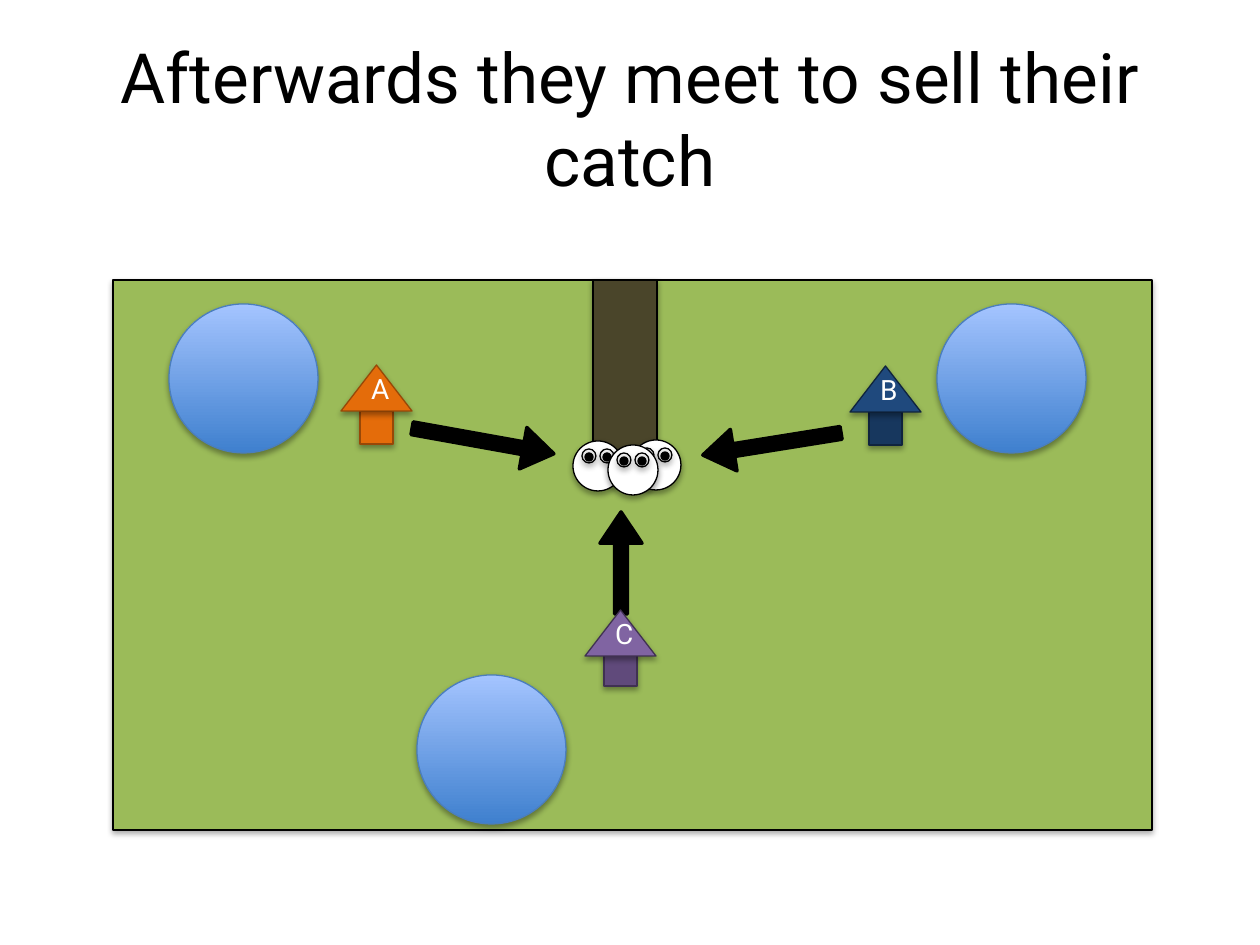
from lxml.etree import SubElement
from pptx import Presentation
from pptx.dml.color import RGBColor
from pptx.enum.shapes import MSO_SHAPE
from pptx.enum.text import MSO_ANCHOR, PP_ALIGN
from pptx.oxml.ns import qn
from pptx.util import Emu, Pt

SCALE = 914400 / 126
BLACK = RGBColor(0x00, 0x00, 0x00)
WHITE = RGBColor(0xFF, 0xFF, 0xFF)
GRASS = RGBColor(0x9B, 0xBB, 0x59)
WATER_DARK = RGBColor(0x3F, 0x80, 0xCE)
WATER_LIGHT = RGBColor(0xA4, 0xC4, 0xFF)
WATER_EDGE = RGBColor(0x4B, 0x7E, 0xBC)
ROAD = RGBColor(0x4A, 0x45, 0x2A)
ORANGE = RGBColor(0xE4, 0x6C, 0x0A)
ORANGE_EDGE = RGBColor(0x98, 0x48, 0x07)
NAVY = RGBColor(0x17, 0x37, 0x5E)
BLUE = RGBColor(0x1F, 0x49, 0x7D)
BLUE_EDGE = RGBColor(0x0F, 0x24, 0x3E)
DARK_PURPLE = RGBColor(0x60, 0x4A, 0x7B)
PURPLE = RGBColor(0x80, 0x64, 0xA2)
PURPLE_EDGE = RGBColor(0x40, 0x31, 0x52)

TITLE_FONT = {"name": "Roboto", "size": Pt(39.6)}
LABEL_FONT = {"name": "Roboto", "size": Pt(16)}


def px(value):
    return Emu(round(value * SCALE))


def add_shadow(shape):
    effects = shape._element.spPr.find(qn("a:effectLst"))
    shadow = SubElement(effects, qn("a:outerShdw"), blurRad="40000",
                        dist="23000", dir="5400000", rotWithShape="0")
    color = SubElement(shadow, qn("a:srgbClr"), val="000000")
    SubElement(color, qn("a:alpha"), val="35000")


def draw(shapes, kind, box, fill, edge=BLACK, width=0.75, shadow=True):
    shape = shapes.add_shape(kind, *map(px, box))
    shape.shadow.inherit = False
    if fill is None:
        shape.fill.background()
    else:
        shape.fill.solid()
        shape.fill.fore_color.rgb = fill
    shape.line.color.rgb = edge
    shape.line.width = Pt(width)
    if shadow:
        add_shadow(shape)
    return shape


def write(shape, text, font, color, anchor):
    frame = shape.text_frame
    for name, value in {"word_wrap": True, "vertical_anchor": anchor}.items():
        setattr(frame, name, value)
    paragraph = frame.paragraphs[0]
    paragraph.alignment = PP_ALIGN.CENTER
    run = paragraph.add_run()
    run.text = text
    for name, value in font.items():
        setattr(run.font, name, value)
    run.font.color.rgb = color


def add_title(slide, box):
    shape = slide.shapes.add_textbox(*map(px, box))
    write(shape, "Afterwards they meet to sell their catch",
          TITLE_FONT, BLACK, MSO_ANCHOR.MIDDLE)


def add_pond(slide, left, top, size=149):
    pond = draw(slide.shapes, MSO_SHAPE.OVAL, (left, top, size, size),
                WATER_DARK, WATER_EDGE)
    pond.fill.gradient()
    pond.fill.gradient_angle = 90
    for stop, color in zip(pond.fill.gradient_stops, (WATER_DARK, WATER_LIGHT)):
        stop.color.rgb = color


def add_face(slide, left, top, size=50):
    face = slide.shapes.add_group_shape().shapes
    draw(face, MSO_SHAPE.OVAL, (left, top, size, size), WHITE)
    for inset, drop, diameter, fill in ((9, 8, 14, None), (12, 12, 8, BLACK)):
        for eye in (0, 18):
            draw(face, MSO_SHAPE.OVAL,
                 (left + inset + eye, top + drop, diameter, diameter), fill)


def add_route(slide, box, rotation):
    arrow = draw(slide.shapes, MSO_SHAPE.LEFT_ARROW, box, BLACK,
                 width=2, shadow=False)
    arrow.rotation = rotation
    arrow.adjustments[0] = 0.305
    arrow.adjustments[1] = 0.744


def add_house(slide, box, label, wall, roof, edge):
    left, top, width, height = box
    wall_size, roof_height = 33, 46
    draw(slide.shapes, MSO_SHAPE.RECTANGLE,
         (left + (width - wall_size) / 2, top + height - wall_size,
          wall_size, wall_size), wall, edge)
    shape = draw(slide.shapes, MSO_SHAPE.ISOSCELES_TRIANGLE,
                 (left, top, width, roof_height), roof, edge)
    write(shape, label, LABEL_FONT, WHITE, MSO_ANCHOR.BOTTOM)


def add_map(slide, box):
    left, top, width, height = box
    draw(slide.shapes, MSO_SHAPE.RECTANGLE, box, GRASS)
    for x, y in ((56, 24), (304, 395), (824, 24)):
        add_pond(slide, left + x, top + y)
    draw(slide.shapes, MSO_SHAPE.RECTANGLE, (left + 480, top, 64, 197), ROAD)
    for x, y in ((460, 161), (518, 160), (495, 165)):
        add_face(slide, left + x, top + y)
    for x, y, length, rotation in ((298, 140, 144, 190.2),
                                   (457, 262, 102, 90),
                                   (589, 143, 140, 350.9)):
        add_route(slide, (left + x, top + y, length, 42), rotation)
    for x, y, tall, label, *colors in (
            (228, 85, 79, "A", ORANGE, ORANGE, ORANGE_EDGE),
            (472, 330, 76, "C", DARK_PURPLE, PURPLE, PURPLE_EDGE),
            (737, 86, 79, "B", NAVY, BLUE, BLUE_EDGE)):
        add_house(slide, (left + x, top + y, 71, tall), label, *colors)


def main():
    presentation = Presentation()
    presentation.slide_width = px(1260)
    presentation.slide_height = px(945)
    slide = presentation.slides.add_slide(presentation.slide_layouts[6])
    add_title(slide, (63, 38, 1134, 158))
    add_map(slide, (113, 280, 1039, 550))
    presentation.save("out.pptx")


if __name__ == "__main__":
    main()
